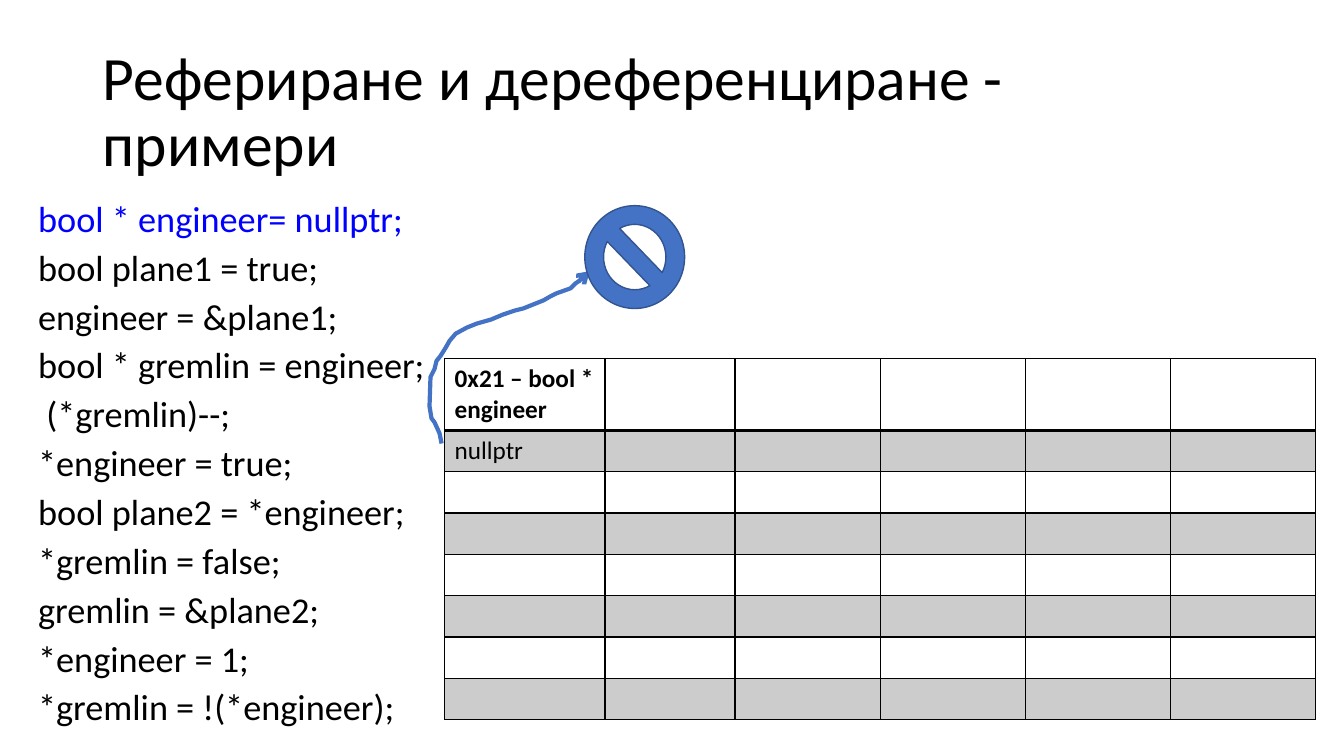
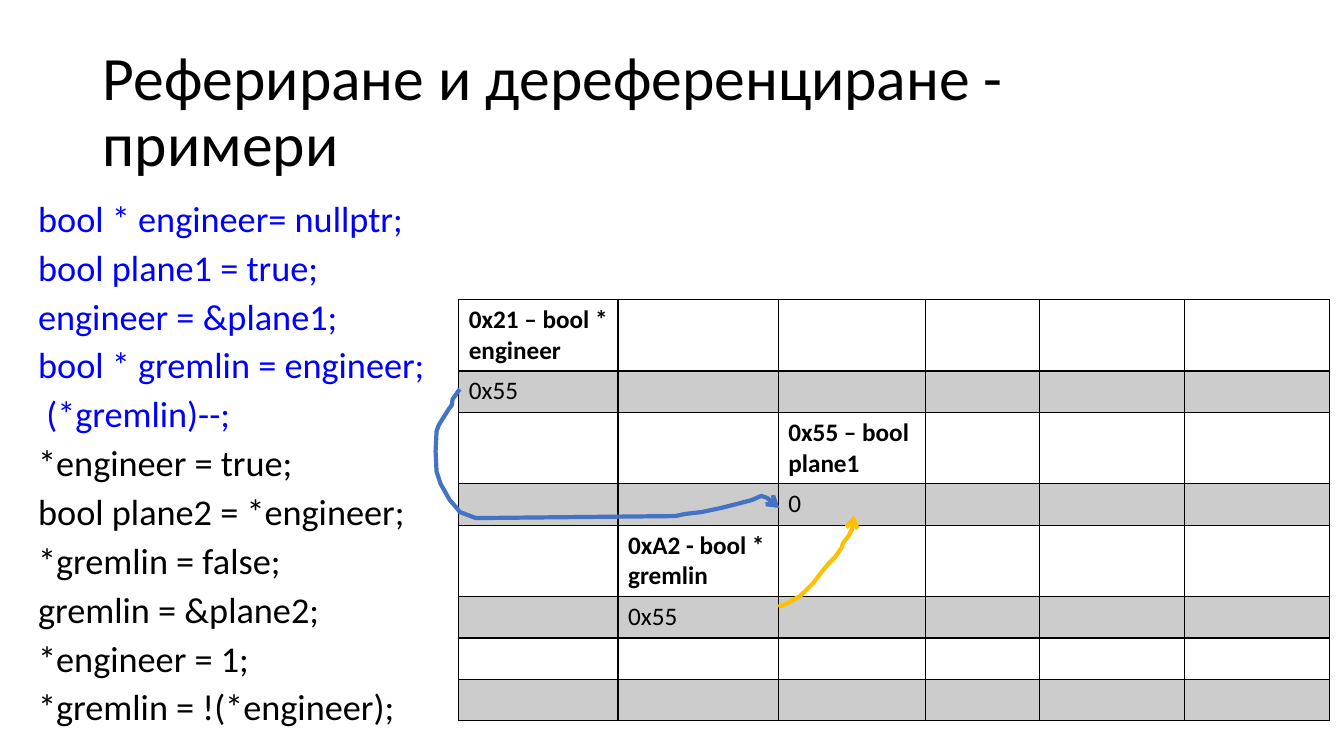
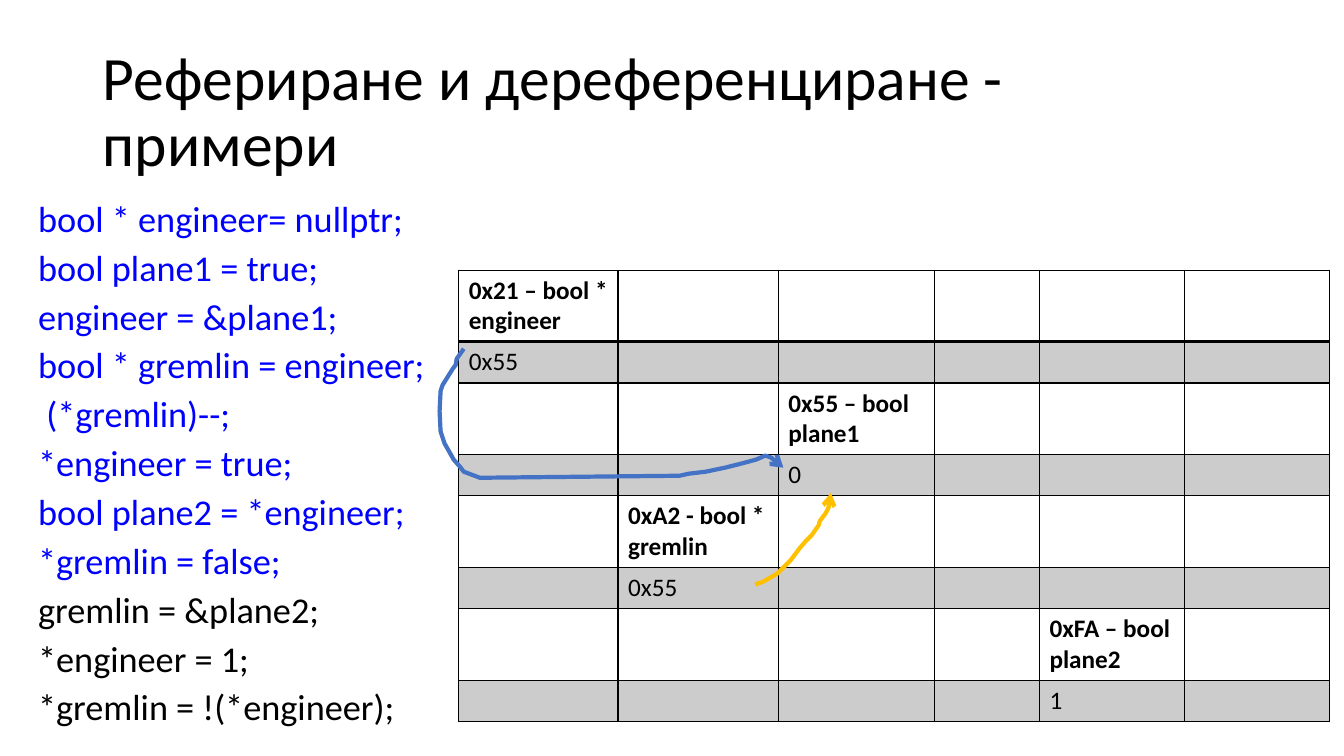
from lxml import etree
from pptx import Presentation
from pptx import util as u
from pptx.dml.color import RGBColor
from pptx.enum import shapes, text
from pptx.oxml import ns

FONT = "Calibri"
COLORS = {
    "ink": "000000",
    "executed": "0000FF",
    "band": "CCCCCC",
    "blue": "4472C4",
    "blue_edge": "325491",
    "gold": "FFC000",
}
TITLE = "Рефериране и дереференциране - примери"
TITLE_BOX = (0.92, 0.4, 11.5, 1.45)
CODE_BOX = (0.28, 1.98, 12.93, 5.82)
CODE = [
    "bool * engineer= nullptr;",
    "bool plane1 = true;",
    "engineer = &plane1;",
    "bool * gremlin = engineer;",
    " (*gremlin)--;",
    "*engineer = true;",
    "bool plane2 = *engineer;",
    "*gremlin = false;",
    "gremlin = &plane2;",
    "*engineer = 1;",
    "*gremlin = !(*engineer);",
]
MEMORY_ROWS = 8
ROW_HEIGHT, NAME_ROW_HEIGHT = 0.41, 0.71

TO_NULL = [
    (0.12, 1.71), (0.1, 1.61), (0.05, 1.5), (0.02, 1.46), (0, 1.34), (0.01, 1.05),
    (0.05, 0.97), (0.07, 0.89), (0.11, 0.84), (0.16, 0.76), (0.2, 0.69), (0.26, 0.62),
    (0.37, 0.56), (0.47, 0.52), (0.61, 0.48), (0.73, 0.43), (0.85, 0.39), (0.93, 0.37),
    (1.03, 0.33), (1.13, 0.29), (1.2, 0.25), (1.26, 0.22), (1.4, 0.17), (1.45, 0.12),
    (1.51, 0.08), (1.55, 0.03), (1.59, 0),
]
ENGINEER_TO_PLANE = [
    (0.24, 0), (0.17, 0.1), (0.16, 0.16), (0.13, 0.2), (0.03, 0.36), (0.01, 0.42),
    (0, 0.62), (0.01, 0.82), (0.05, 0.94), (0.14, 1.1), (0.21, 1.18), (0.24, 1.22),
    (0.4, 1.28), (2.38, 1.26), (2.47, 1.24), (2.64, 1.22), (2.83, 1.18), (2.99, 1.14),
    (3.14, 1.1), (3.23, 1.06), (3.29, 1.08), (3.33, 1.12), (3.41, 1.18),
]
GREMLIN_TO_PLANE = [
    (0, 0.91), (0.08, 0.88), (0.15, 0.84), (0.22, 0.8), (0.28, 0.74), (0.35, 0.67),
    (0.41, 0.59), (0.44, 0.55), (0.5, 0.48), (0.56, 0.42), (0.63, 0.32), (0.64, 0.28),
    (0.7, 0.2), (0.74, 0.12), (0.75, 0),
]

ENGINEER = {(0, 0): ["0x21 – bool *", "engineer"], (1, 0): ["0x55"]}
PLANE1 = {(2, 2): ["0x55 – bool", "plane1"], (3, 2): ["0"]}
GREMLIN = {(4, 1): ["0xA2 - bool *", "gremlin"], (5, 1): ["0x55"]}
PLANE2 = {(6, 4): ["0xFA – bool plane2"], (7, 4): ["1"]}

STEPS = [
    {
        "executed": 1,
        "origin": (4.41, 3.56),
        "columns": [1.59, 1.29, 1.44, 1.44, 1.44, 1.44],
        "variables": {(0, 0): ["0x21 – bool * engineer"], (1, 0): ["nullptr"]},
        "pointers": [(4.26, 2.69, TO_NULL, "blue")],
        "null_box": (5.8, 2.04, 0.99, 1.02),
    },
    {
        "executed": 5,
        "origin": (4.55, 2.97),
        "columns": [1.58, 1.59, 1.46, 1.13, 1.44, 1.44],
        "variables": ENGINEER | PLANE1 | GREMLIN,
        "pointers": [(4.32, 3.86, ENGINEER_TO_PLANE, "blue"),
                     (7.72, 5.11, GREMLIN_TO_PLANE, "gold")],
    },
    {
        "executed": 8,
        "origin": (4.55, 2.68),
        "columns": [1.58, 1.59, 1.55, 1.04, 1.44, 1.44],
        "variables": ENGINEER | PLANE1 | GREMLIN | PLANE2,
        "pointers": [(4.36, 3.46, ENGINEER_TO_PLANE, "blue"),
                     (7.49, 4.89, GREMLIN_TO_PLANE, "gold")],
    },
]


def rgb(name):
    """Return the named colour."""
    return RGBColor.from_string(COLORS[name])


def inches(values):
    """Convert several numbers to inches."""
    return [u.Inches(value) for value in values]


def write_lines(frame, lines, size, bold=False, line_spacing=None, gap=0):
    """Write (text, colour) lines, one paragraph each."""
    for index, (words, color) in enumerate(lines):
        paragraph = frame.add_paragraph() if index else frame.paragraphs[0]
        paragraph.alignment = text.PP_ALIGN.LEFT
        paragraph.space_before = u.Pt(gap if index else 0)
        if line_spacing:
            paragraph.line_spacing = line_spacing
        run = paragraph.add_run()
        run.text = words
        run.font.name = FONT
        run.font.size = u.Pt(size)
        run.font.bold = bold
        run.font.color.rgb = rgb(color)


def add_title(slide, box):
    """Place and format the slide title."""
    title = slide.shapes.title
    title.left, title.top, title.width, title.height = inches(box)
    frame = title.text_frame
    frame.auto_size = text.MSO_AUTO_SIZE.NONE
    frame.vertical_anchor = text.MSO_ANCHOR.MIDDLE
    write_lines(frame, [(TITLE, "ink")], 44, line_spacing=0.9)


def add_code(slide, box, executed):
    """List the code with the executed lines highlighted."""
    frame = slide.shapes.add_textbox(*inches(box)).text_frame
    frame.word_wrap = True
    lines = [(line, "executed" if number < executed else "ink")
             for number, line in enumerate(CODE)]
    write_lines(frame, lines, 25.9, line_spacing=0.8, gap=10)


def set_borders(cell, row):
    """Rule a cell, with a heavier line under the first row."""
    weights = {"L": 1, "R": 1, "T": 2 if row == 1 else 1, "B": 2 if row == 0 else 1}
    properties = cell._tc.get_or_add_tcPr()
    for position, (side, points) in enumerate(weights.items()):
        line = etree.Element(ns.qn("a:ln" + side), w=str(u.Pt(points)))
        fill = etree.SubElement(line, ns.qn("a:solidFill"))
        etree.SubElement(fill, ns.qn("a:srgbClr"), val=COLORS["ink"])
        properties.insert(position, line)


def add_memory(slide, origin, columns, variables):
    """Draw the memory table with variable names above their values."""
    name_rows = {row for row, _ in variables if row % 2 == 0}
    heights = [NAME_ROW_HEIGHT if row in name_rows else ROW_HEIGHT
               for row in range(MEMORY_ROWS)]
    box = (*origin, sum(columns), sum(heights))
    memory = slide.shapes.add_table(MEMORY_ROWS, len(columns), *inches(box)).table
    memory.first_row = memory.horz_banding = False
    for column, width in zip(memory.columns, columns):
        column.width = u.Inches(width)
    for row, height in enumerate(heights):
        memory.rows[row].height = u.Inches(height)
        for column in range(len(columns)):
            cell = memory.cell(row, column)
            if row % 2:
                cell.fill.solid()
                cell.fill.fore_color.rgb = rgb("band")
            else:
                cell.fill.background()
            set_borders(cell, row)
            lines = [(words, "ink") for words in variables.get((row, column), [])]
            write_lines(cell.text_frame, lines, 18, bold=row % 2 == 0)


def add_pointer(slide, left, top, route, color):
    """Draw a hand-drawn arrow along a route from the given corner."""
    points = [inches((left + x, top + y)) for x, y in route]
    builder = slide.shapes.build_freeform(*points[0])
    builder.add_line_segments(points[1:], close=False)
    pointer = builder.convert_to_shape()
    pointer.shadow.inherit = False
    pointer.fill.background()
    pointer.line.color.rgb = rgb(color)
    pointer.line.width = u.Pt(3)
    line = pointer.line._get_or_add_ln()
    etree.SubElement(line, ns.qn("a:round"))
    etree.SubElement(line, ns.qn("a:tailEnd"), type="arrow")


def add_null_sign(slide, box):
    """Draw the sign that stands for the null address."""
    sign = slide.shapes.add_shape(shapes.MSO_SHAPE.NO_SYMBOL, *inches(box))
    sign.rotation = 180
    sign.shadow.inherit = False
    sign.fill.solid()
    sign.fill.fore_color.rgb = rgb("blue")
    sign.line.color.rgb = rgb("blue_edge")
    sign.line.width = u.Pt(1)


def add_step(deck, step):
    """Add one slide showing memory after a number of executed lines."""
    slide = deck.slides.add_slide(deck.slide_layouts[5])
    add_title(slide, TITLE_BOX)
    add_code(slide, CODE_BOX, step["executed"])
    add_memory(slide, step["origin"], step["columns"], step["variables"])
    for pointer in step["pointers"]:
        add_pointer(slide, *pointer)
    if "null_box" in step:
        add_null_sign(slide, step["null_box"])


def main():
    """Build and save the deck."""
    deck = Presentation()
    deck.slide_width, deck.slide_height = inches((13.33, 7.5))
    for step in STEPS:
        add_step(deck, step)
    deck.save("out.pptx")


if __name__ == "__main__":
    main()
